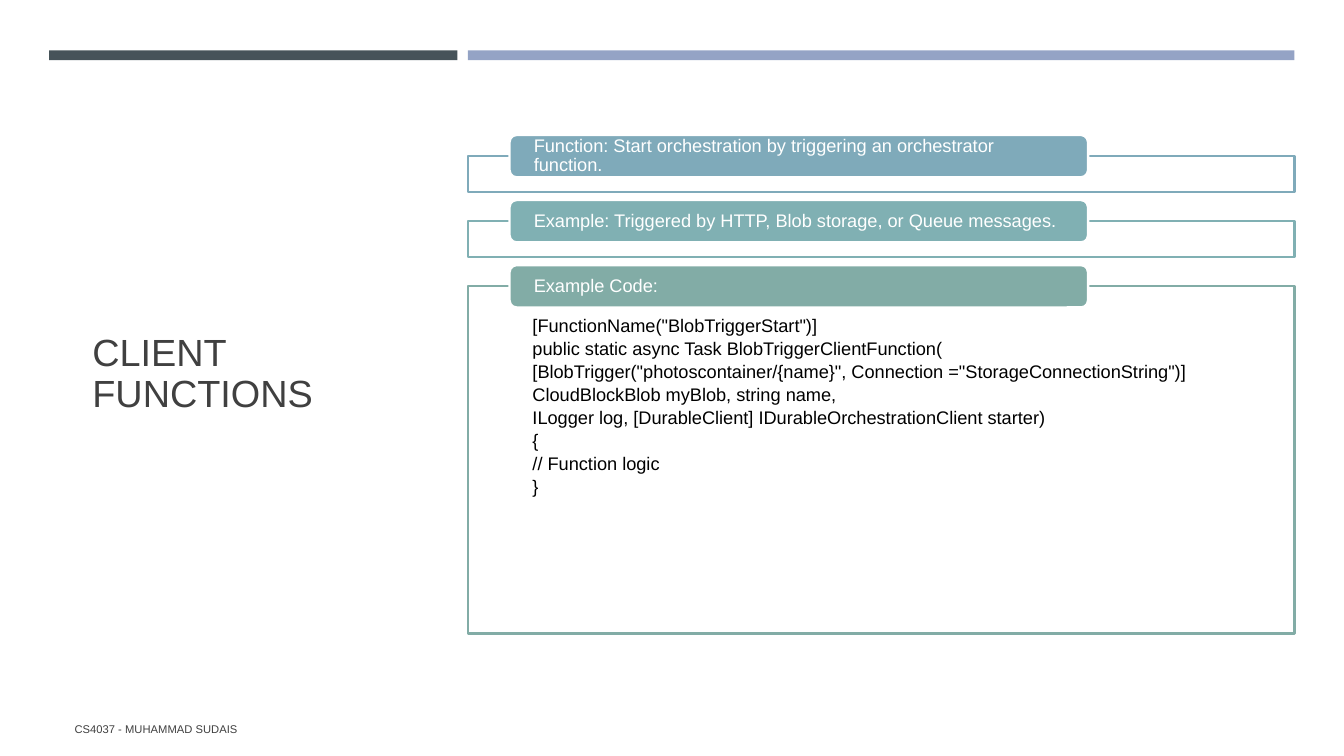
from lxml.etree import SubElement
from pptx import Presentation
from pptx.dml.color import RGBColor
from pptx.enum.shapes import MSO_SHAPE
from pptx.enum.text import MSO_ANCHOR, PP_ALIGN
from pptx.oxml.ns import qn
from pptx.util import Cm, Pt

WHITE = RGBColor(0xFF, 0xFF, 0xFF)
BLACK = RGBColor(0x00, 0x00, 0x00)
GRAY = RGBColor(0x40, 0x40, 0x40)
SLATE = RGBColor(0x46, 0x53, 0x59)
LAVENDER = RGBColor(0x94, 0xA3, 0xC5)
BLUE = RGBColor(0x7F, 0xAA, 0xBA)
TEAL = RGBColor(0x80, 0xB0, 0xB3)
GREEN = RGBColor(0x82, 0xAC, 0xA6)

CODE = [
    '[FunctionName("BlobTriggerStart")]',
    'public static async Task BlobTriggerClientFunction(',
    '[BlobTrigger("photoscontainer/{name}", Connection ="StorageConnectionString")]',
    'CloudBlockBlob myBlob, string name,',
    'ILogger log, [DurableClient] IDurableOrchestrationClient starter)',
    '{',
    '// Function logic',
    '}',
]
SECTIONS = [
    ('Function: Start orchestration by triggering an orchestrator function.', [], BLUE, 0.91),
    ('Example: Triggered by HTTP, Blob storage, or Queue messages.', [], TEAL, 0.91),
    ('Example Code:', CODE, GREEN, 8.76),
]


def write_text(shape, lines, size=13, color=BLACK, anchor=MSO_ANCHOR.MIDDLE,
               insets=(0.25, 0.13, 0.25, 0.13), spacing=0.9, after=0):
    frame = shape.text_frame
    frame.word_wrap = True
    frame.vertical_anchor = anchor
    frame.margin_left, frame.margin_top, frame.margin_right, frame.margin_bottom = map(Cm, insets)
    for index, line in enumerate(lines):
        para = frame.add_paragraph() if index else frame.paragraphs[0]
        para.alignment = PP_ALIGN.LEFT
        para.line_spacing = spacing
        para.space_after = Pt(after)
        span = para.add_run()
        span.text = line
        span.font.name = 'Arial'
        span.font.size = Pt(size)
        span.font.color.rgb = color


def add_text(page, box, lines, **style):
    write_text(page.shapes.add_textbox(*map(Cm, box)), lines, **style)


def add_block(page, box, fill, line=None, kind=MSO_SHAPE.RECTANGLE, opacity=None):
    block = page.shapes.add_shape(kind, *map(Cm, box))
    block.shadow.inherit = False
    block.fill.solid()
    block.fill.fore_color.rgb = fill
    if opacity is not None:
        color = block.fill._xPr.find(qn('a:solidFill'))[0]
        SubElement(color, qn('a:alpha'), val=str(opacity * 1000))
    if line is None:
        block.line.fill.background()
    else:
        block.line.color.rgb = line
        block.line.width = Pt(1.75)
    return block


def add_top_bars(page, left, top, width, height):
    gap = 0.26
    short = 10.29
    add_block(page, (left, top, short, height), SLATE)
    add_block(page, (left + short + gap, top, width - short - gap, height), LAVENDER)


def add_section(page, left, top, width, height, label, body, color):
    frame = add_block(page, (left, top, width, height), WHITE, color, opacity=90)
    if body:
        write_text(frame, body, anchor=MSO_ANCHOR.TOP,
                   insets=(1.63, 0.76, 1.63, 0.25), after=2.4)
    tab = add_block(page, (left + 1.05, top - 0.53, width * 0.7, 1.07),
                    color, WHITE, MSO_SHAPE.ROUNDED_RECTANGLE)
    write_text(tab, [label], color=WHITE, insets=(0.56, 0, 0.56, 0))


def add_sections(page, left, top, width):
    gap = 0.73
    for label, body, color, height in SECTIONS:
        add_section(page, left, top, width, height, label, body, color)
        top += height + gap


def main():
    deck = Presentation()
    deck.slide_width = Cm(33.87)
    deck.slide_height = Cm(19.05)
    page = deck.slides.add_slide(deck.slide_layouts[6])
    add_top_bars(page, 1.24, 1.27, 31.38, 0.25)
    add_text(page, (2.08, 2.9, 8.48, 13.08), ['CLIENT FUNCTIONS'], size=27, color=GRAY)
    add_sections(page, 11.79, 3.93, 20.83)
    add_text(page, (1.63, 17.86, 19.2, 1.02), ['CS4037 - MUHAMMAD SUDAIS'],
             size=8, color=GRAY, spacing=1.0, after=6)
    deck.save("out.pptx")


if __name__ == "__main__":
    main()
